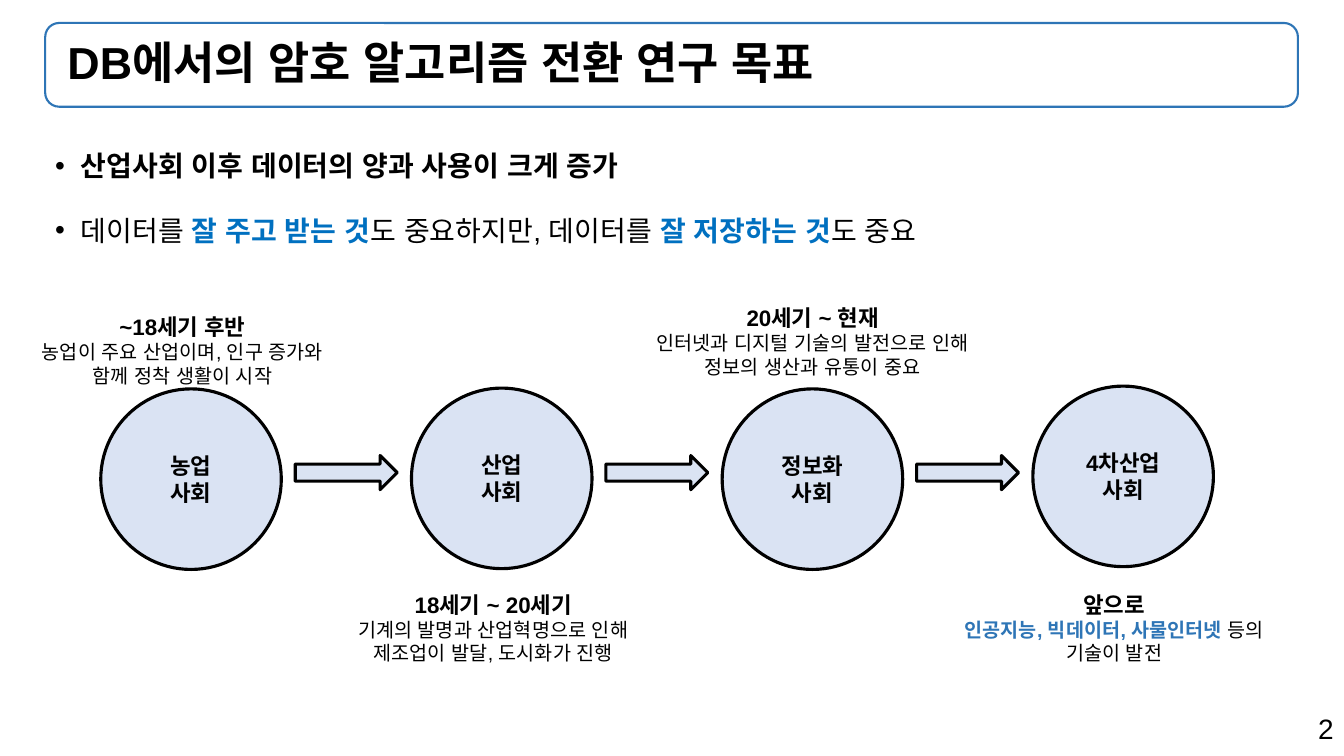
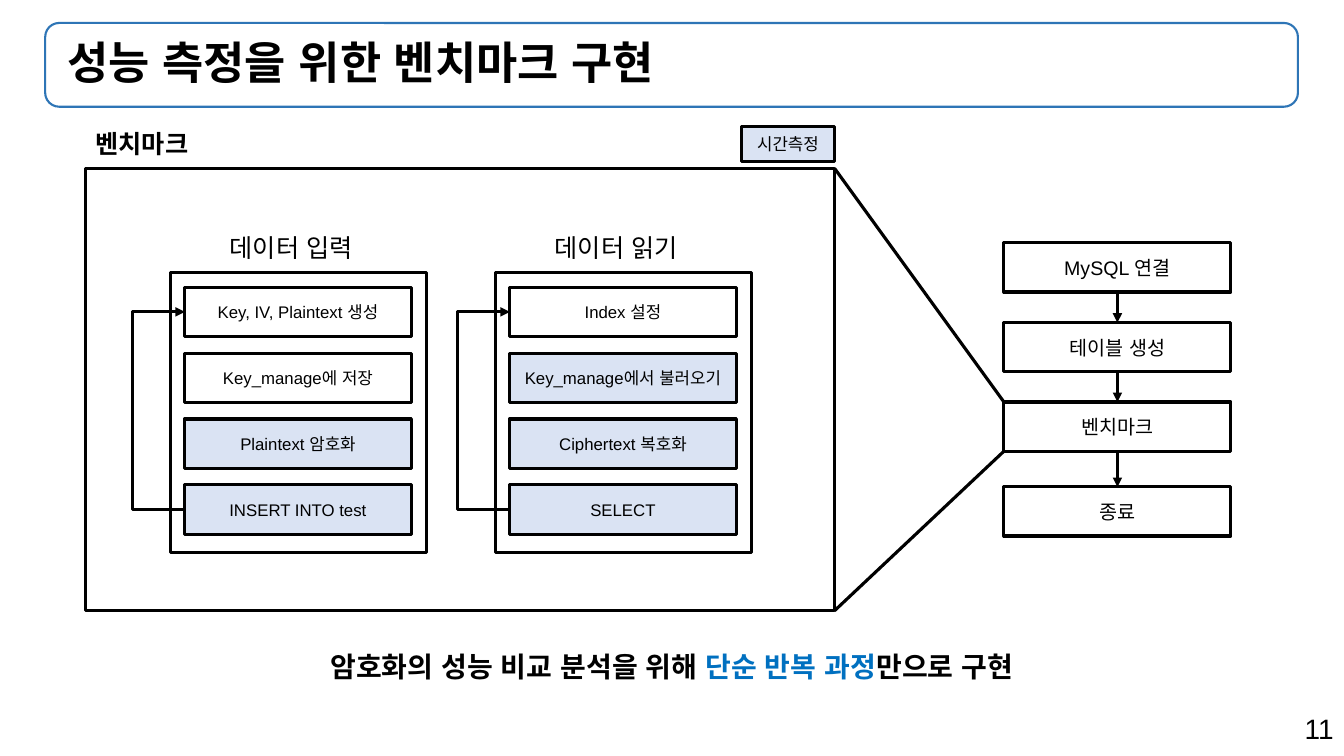
from lxml.etree import SubElement
from pptx import Presentation
from pptx.dml.color import RGBColor
from pptx.enum.lang import MSO_LANGUAGE_ID
from pptx.enum.shapes import MSO_CONNECTOR, MSO_SHAPE
from pptx.enum.text import MSO_ANCHOR, MSO_AUTO_SIZE, PP_ALIGN
from pptx.oxml.ns import qn
from pptx.util import Cm, Pt

BLACK, WHITE, PALE = "000000", "FFFFFF", "DAE3F3"
EDGE, BLUE = "2E75B6", "0070C0"
FACE = "Arial"
BAND = (1.14, 0.58, 31.57, 2.11)
LEFT, MID, RIGHT = PP_ALIGN.LEFT, PP_ALIGN.CENTER, PP_ALIGN.RIGHT


def tint(code):
    return RGBColor.from_string(code)


def spot(*sizes):
    return [Cm(size) for size in sizes]


class Deck:
    """Holds the shared style and the current slide."""

    def __init__(self):
        self.show = Presentation()
        self.show.slide_width, self.show.slide_height = spot(33.87, 19.05)
        self.slide = None

    def begin(self, title, number):
        """Start a slide with its framed title and page number."""
        self.slide = self.show.slides.add_slide(self.show.slide_layouts[5])
        self.shape(MSO_SHAPE.ROUNDED_RECTANGLE, BAND, None, EDGE, 1.5)
        head = self.slide.shapes.title
        head.left, head.top, head.width, head.height = spot(*BAND)
        frame = head.text_frame
        frame.auto_size = MSO_AUTO_SIZE.NONE
        frame.vertical_anchor = MSO_ANCHOR.MIDDLE
        frame.margin_left = Cm(0.56)
        self.put(frame, [title], 32, True, LEFT)
        frame.paragraphs[0].line_spacing = 0.9
        self.text((23.95, 17.8, 9.91, 1.12), [number], 20, align=RIGHT)

    def style(self, run, size, bold, color=BLACK):
        font = run.font
        font.name, font.size, font.bold = FACE, Pt(size), bold
        font.color.rgb = tint(color)
        font.language_id = MSO_LANGUAGE_ID.KOREAN
        SubElement(run._r.rPr, qn("a:ea")).set("typeface", FACE)

    def put(self, frame, lines, size, bold=False, align=MID):
        """Each line is a string or a list of (text, bold, color) parts."""
        frame.word_wrap = True
        for at, line in enumerate(lines):
            para = frame.paragraphs[0] if at == 0 else frame.add_paragraph()
            para.alignment = align
            parts = [(line, bold, BLACK)] if isinstance(line, str) else line
            for words, heavy, color in parts:
                run = para.add_run()
                run.text = words
                self.style(run, size, heavy, color)

    def text(self, box, lines, size, bold=False, align=MID):
        frame = self.slide.shapes.add_textbox(*spot(*box)).text_frame
        self.put(frame, lines, size, bold, align)
        return frame

    def points(self, box, lines, size):
        """Bulleted lines."""
        frame = self.text(box, lines, size, align=LEFT)
        for at, para in enumerate(frame.paragraphs):
            props = para._p.get_or_add_pPr()
            props.set("marL", str(Cm(0.64)))
            props.set("indent", str(-Cm(0.64)))
            SubElement(props, qn("a:buFont")).set("typeface", FACE)
            SubElement(props, qn("a:buChar")).set("char", "•")
            para.line_spacing = 1.5
            para.space_before = Pt(10 if at else 0)

    def note(self, box, head, body):
        """Caption with a bold heading over smaller text."""
        frame = self.text(box, [head, body], 14)
        frame.vertical_anchor = MSO_ANCHOR.MIDDLE
        run = frame.paragraphs[0].runs[0]
        run.font.size, run.font.bold = Pt(16), True

    def shape(self, kind, box, fill=WHITE, edge=BLACK, width=2.25):
        item = self.slide.shapes.add_shape(kind, *spot(*box))
        item.shadow.inherit = False
        if fill:
            item.fill.solid()
            item.fill.fore_color.rgb = tint(fill)
        else:
            item.fill.background()
        item.line.color.rgb = tint(edge)
        item.line.width = Pt(width)
        return item

    def label(self, kind, box, lines, size, fill=WHITE, bold=False):
        """Outlined shape with centred text."""
        frame = self.shape(kind, box, fill).text_frame
        frame.margin_left = frame.margin_right = Cm(0.1)
        frame.vertical_anchor = MSO_ANCHOR.MIDDLE
        self.put(frame, lines, size, bold)

    def line(self, start, end, arrow=False, kind=MSO_CONNECTOR.STRAIGHT):
        wire = self.slide.shapes.add_connector(kind, *spot(*start, *end))
        wire.line.color.rgb = tint(BLACK)
        wire.line.width = Pt(2.25)
        props = wire._element.spPr
        if arrow:
            tail = SubElement(props.find(qn("a:ln")), qn("a:tailEnd"))
            tail.set("type", "triangle")
        SubElement(props, qn("a:effectLst"))
        return wire

    def loop(self, x, low, high, reach):
        """Bent arrow that leaves to the left and returns higher up."""
        thin = 0.01
        wire = self.line((x, low), (x + thin, high), True, MSO_CONNECTOR.ELBOW)
        geom = wire._element.spPr.find(qn("a:prstGeom"))
        bends = geom.find(qn("a:avLst"))
        if bends is None:
            bends = SubElement(geom, qn("a:avLst"))
        bend = SubElement(bends, qn("a:gd"))
        bend.set("name", "adj1")
        bend.set("fmla", f"val {round(-reach / thin * 100000)}")


def goals(deck):
    deck.begin("DB에서의 암호 알고리즘 전환 연구 목표", "2")
    deck.points((1.14, 3.2, 31.57, 14.05), [
        [("산업사회 이후 데이터의 양과 사용이 크게 증가", True, BLACK)],
        [("데이터를 ", False, BLACK), ("잘 주고 받는 것", True, BLUE),
         ("도 중요하지만, 데이터를 ", False, BLACK),
         ("잘 저장하는 것", True, BLUE), ("도 중요", False, BLACK)],
    ], 20)

    # Ages of society: circles joined by block arrows
    step, ages = 7.83, [("농업", 9.8), ("산업", 9.78), ("정보화", 9.8), ("4차산업", 9.73)]
    for at, (age, top) in enumerate(ages):
        deck.label(MSO_SHAPE.OVAL, (2.54 + at * step, top, 4.55, 4.55),
                   [age, "사회"], 16, PALE, True)
        if at < len(ages) - 1:
            deck.shape(MSO_SHAPE.RIGHT_ARROW,
                       (7.44 + at * step, 11.48, 2.57, 0.86), PALE)

    # Captions above and below the circles
    notes = [
        ((0.41, 7.29, 8.38, 3.07), "~18세기 후반",
         "농업이 주요 산업이며, 인구 증가와 함께 정착 생활이 시작"),
        ((8.05, 14.38, 8.76, 2.87), "18세기 ~ 20세기",
         "기계의 발명과 산업혁명으로 인해 제조업이 발달, 도시화가 진행"),
        ((16.1, 7.06, 8.76, 3.07), "20세기 ~ 현재",
         "인터넷과 디지털 기술의 발전으로 인해 정보의 생산과 유통이 중요"),
        ((23.7, 14.38, 8.76, 2.87), "앞으로",
         [("인공지능, 빅데이터, 사물인터넷 ", True, EDGE),
          ("등의 기술이 발전", False, BLACK)]),
    ]
    for box, head, body in notes:
        deck.note(box, head, body)


def bench(deck):
    deck.begin("성능 측정을 위한 벤치마크 구현", "11")
    rect, wide, high = MSO_SHAPE.RECTANGLE, 5.72, 1.24

    # Main flow on the right
    x, tops = 25.3, [6.12, 8.13, 10.13, 12.27]
    names = ["MySQL 연결", "테이블 생성", "벤치마크", "종료"]
    for name, top in zip(names, tops):
        deck.label(rect, (x, top, wide, high), [name], 14)
    for top, below in zip(tops, tops[1:]):
        deck.line((x + wide / 2, top + high), (x + wide / 2, below), True)

    # Benchmark frame, opened out from its step in the flow
    deck.shape(rect, (2.16, 4.24, 18.87, 11.15), None)
    deck.line((21.03, 4.24), (x, tops[2]))
    deck.line((21.03, 15.39), (x, tops[2] + high))
    deck.text((2.16, 3.1, 3.07, 1.02), ["벤치마크"], 18, True, LEFT)
    deck.label(rect, (18.69, 3.18, 2.34, 0.89), ["시간측정"], 12, PALE)

    # Input and reading loops; shaded steps are timed
    panels = [
        ("데이터 입력", 2, ["Key, IV, Plaintext 생성", "Key_manage에 저장",
                       "Plaintext 암호화", "INSERT INTO test"]),
        ("데이터 읽기", 1, ["Index 설정", "Key_manage에서 불러오기",
                       "Ciphertext 복호화", "SELECT"]),
    ]
    first, step = 7.24, 1.66
    for col, (head, plain, steps) in enumerate(panels):
        left = 4.29 + col * 8.19
        deck.text((left + 1.25, 5.72, 3.94, 1.02), [head], 18, align=LEFT)
        deck.shape(rect, (left, 6.86, 6.45, 7.06))
        for row, name in enumerate(steps):
            deck.label(rect, (left + 0.36, first + row * step, wide, high),
                       [name], 12, WHITE if row < plain else PALE)
        start = first + high / 2
        deck.loop(left + 0.36, start + 3 * step, start, 1.32)

    # Conclusion
    deck.text((7.34, 16.23, 19.18, 1.12), [
        [("암호화의 성능 비교 분석을 위해 ", True, BLACK),
         ("단순 반복 과정", True, BLUE), ("만으로 구현", True, BLACK)]], 20)


def main():
    deck = Deck()
    goals(deck)
    bench(deck)
    deck.show.save("out.pptx")


if __name__ == "__main__":
    main()
